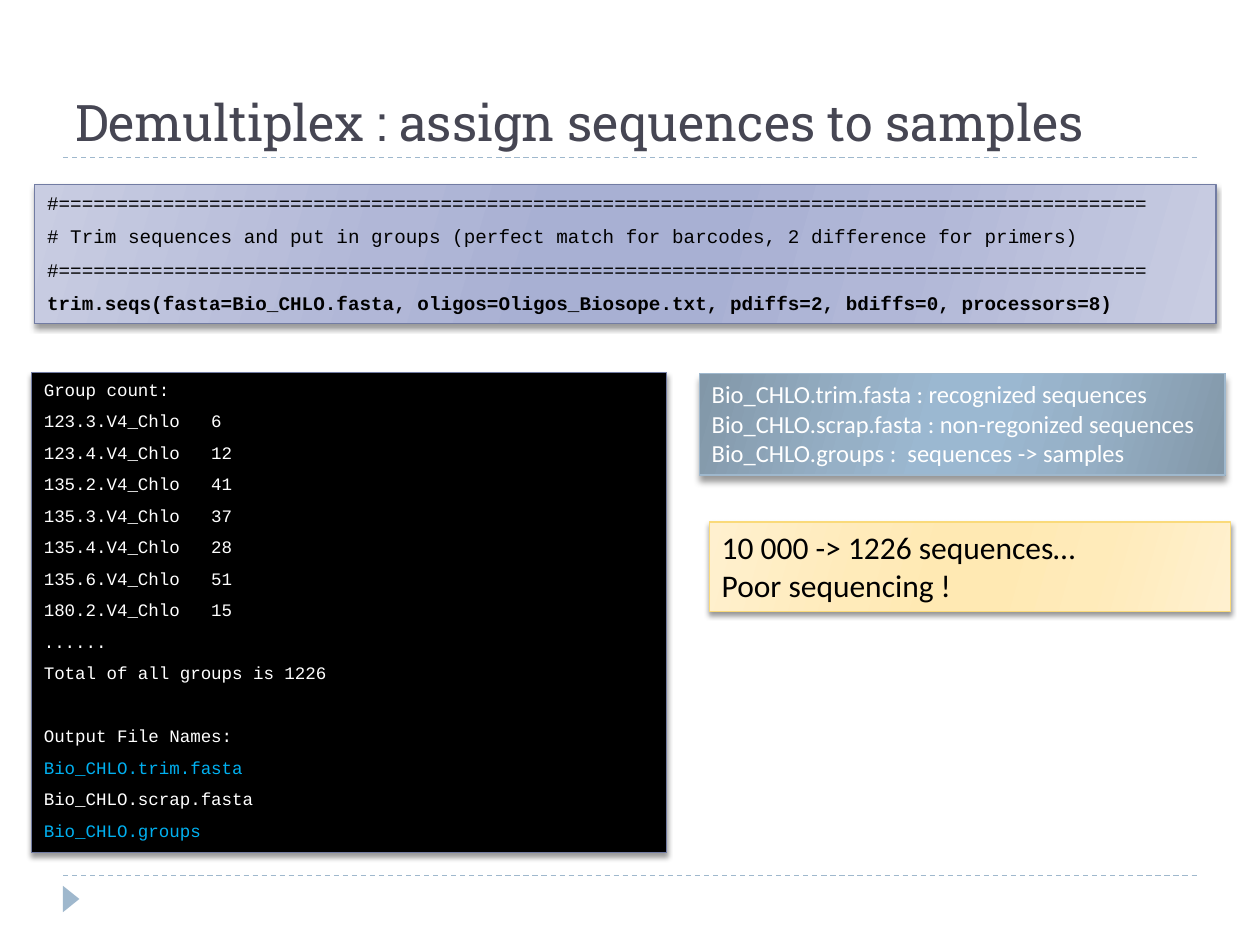
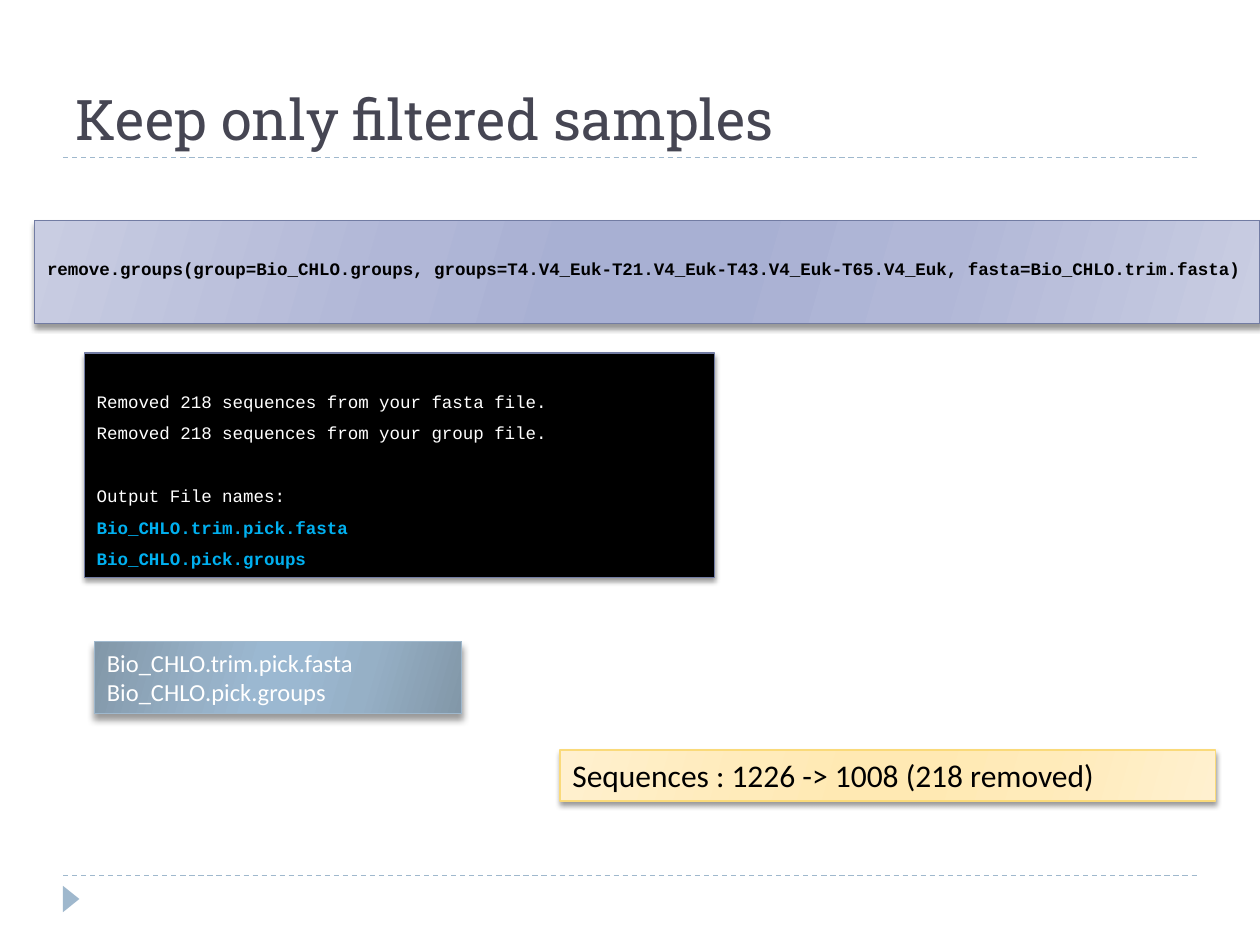
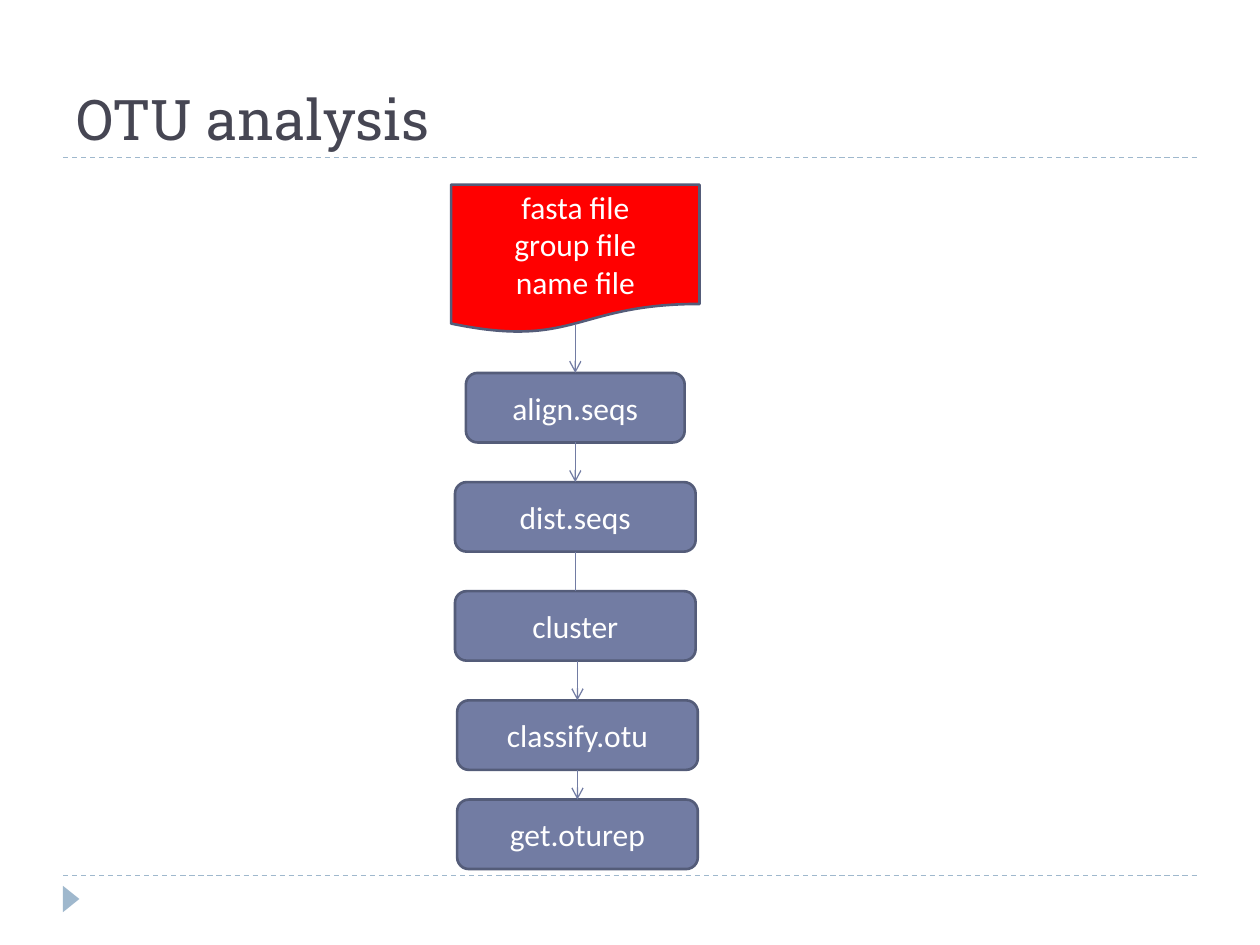
from dataclasses import dataclass

from lxml.etree import SubElement
from pptx import Presentation
from pptx.dml.color import RGBColor
from pptx.enum.dml import MSO_LINE_DASH_STYLE as Dash
from pptx.enum.shapes import MSO_CONNECTOR, MSO_SHAPE as Shape
from pptx.enum.text import MSO_ANCHOR as Anchor, PP_ALIGN as Align
from pptx.oxml.ns import qn
from pptx.util import Pt

WHITE = RGBColor(0xFF, 0xFF, 0xFF)
BLACK = RGBColor(0x00, 0x00, 0x00)
RED = RGBColor(0xFF, 0x00, 0x00)
TITLE_GREY = RGBColor(0x46, 0x46, 0x53)
PALE_BLUE = RGBColor(0x9F, 0xB8, 0xCD)
INDIGO = RGBColor(0x72, 0x7C, 0xA3)
DARK_INDIGO = RGBColor(0x54, 0x5C, 0x79)
YELLOW = RGBColor(0xFA, 0xDA, 0x7A)
CYAN = RGBColor(0x00, 0xB0, 0xF0)
INDIGO_EDGE = RGBColor(0xC9, 0xCD, 0xE2)
INDIGO_INNER = RGBColor(0xB1, 0xB7, 0xD7)
INDIGO_CORE = RGBColor(0xA8, 0xB0, 0xD3)
BLUE_EDGE = RGBColor(0x82, 0x97, 0xA8)
BLUE_INNER = RGBColor(0x96, 0xB0, 0xC6)
BLUE_CORE = RGBColor(0x9B, 0xB8, 0xD1)
YELLOW_EDGE = RGBColor(0xFF, 0xF0, 0xCF)
YELLOW_INNER = RGBColor(0xFF, 0xEB, 0xBA)
YELLOW_CORE = RGBColor(0xFF, 0xE9, 0xB3)

MONO = "Courier New"
SANS = "Calibri"
SERIF = "Roboto Slab"
INSET = 3.6
CODE_GAP = 6
RULE = "#" + "=" * 94


@dataclass
class Look:
    fills: tuple
    outline: RGBColor
    color: RGBColor
    font: str
    size: float
    blur: float = 3
    distance: float = 2


COMMAND = Look((INDIGO_EDGE, INDIGO_INNER, INDIGO_CORE), INDIGO, BLACK, MONO, 11)
LONG_COMMAND = Look(COMMAND.fills, INDIGO, BLACK, MONO, 10)
TERMINAL = Look((BLACK,), INDIGO, WHITE, MONO, 10)
FILES = Look((BLUE_EDGE, BLUE_INNER, BLUE_CORE), PALE_BLUE, WHITE, SANS, 14, 4, 3.4)
REMARK = Look((YELLOW_EDGE, YELLOW_INNER, YELLOW_CORE), YELLOW, BLACK, SANS, 18)


class Deck:
    """Holds the shared style and the slide being built."""

    def __init__(self):
        self.presentation = Presentation()
        self.presentation.slide_width = Pt(720)
        self.presentation.slide_height = Pt(540)
        self.slide = None

    def new_slide(self, title, size=32, left=36):
        layout = self.presentation.slide_layouts[6]
        self.slide = self.presentation.slides.add_slide(layout)
        for y in (500.4, 90):
            self.line(36, y, 684, y, PALE_BLUE).line.dash_style = Dash.DASH
        marker = self.shape(Shape.ISOSCELES_TRIANGLE, 33.1, 509, 15.1, 9.4, PALE_BLUE)
        marker.rotation = 90
        text_box = self.slide.shapes.add_textbox(Pt(left), Pt(12), Pt(648), Pt(78))
        text_box.text_frame.word_wrap = True
        text_box.text_frame.vertical_anchor = Anchor.BOTTOM
        self.run(text_box.text_frame.paragraphs[0], title, SERIF, size, TITLE_GREY)

    def run(self, paragraph, text, font, size, color, bold=False):
        run = paragraph.add_run()
        run.text = text
        run.font.name = font
        run.font.size = Pt(size)
        run.font.color.rgb = color
        run.font.bold = bold

    def line(self, x1, y1, x2, y2, color):
        connector = self.slide.shapes.add_connector(
            MSO_CONNECTOR.STRAIGHT, Pt(x1), Pt(y1), Pt(x2), Pt(y2))
        connector.line.color.rgb = color
        connector.line.width = Pt(0.75)
        SubElement(connector._element.spPr, qn("a:effectLst"))
        return connector

    def arrow(self, x, y1, y2, start=None, end=None, head=True):
        connector = self.line(x, y1, x, y2, INDIGO)
        if start:
            connector.begin_connect(start, 2)
        if end:
            connector.end_connect(end, 0)
        if head:
            outline = connector._element.spPr.find(qn("a:ln"))
            SubElement(outline, qn("a:tailEnd"), type="arrow")

    def shape(self, kind, left, top, width, height, fill, outline=None, weight=0.75):
        shape = self.slide.shapes.add_shape(kind, Pt(left), Pt(top), Pt(width), Pt(height))
        shape.shadow.inherit = False
        shape.fill.solid()
        shape.fill.fore_color.rgb = fill
        if outline is None:
            shape.line.fill.background()
        else:
            shape.line.color.rgb = outline
            shape.line.width = Pt(weight)
        return shape

    def gradient(self, shape, edge, inner, core):
        shape.fill.gradient()
        shape.fill.gradient_angle = 344
        stops = shape._element.spPr.find(qn("a:gradFill")).find(qn("a:gsLst"))
        for stop in list(stops):
            stops.remove(stop)
        positions = (0, 30, 45, 55, 73, 100)
        for position, color in zip(positions, (edge, inner, core, core, inner, edge)):
            stop = SubElement(stops, qn("a:gs"), pos=str(position * 1000))
            SubElement(stop, qn("a:srgbClr"), val=str(color))

    def cast_shadow(self, shape, blur, distance):
        effects = shape._element.spPr.find(qn("a:effectLst"))
        shadow = SubElement(effects, qn("a:outerShdw"), blurRad=str(Pt(blur)),
                            dist=str(Pt(distance)), dir="5400000", rotWithShape="0")
        color = SubElement(shadow, qn("a:srgbClr"), val=str(BLACK))
        SubElement(color, qn("a:alpha"), val="40000")

    def panel(self, look, left, top, width, height, lines, marked=(), bold=()):
        shape = self.shape(Shape.RECTANGLE, left, top, width, height,
                           look.fills[0], look.outline)
        if len(look.fills) > 1:
            self.gradient(shape, *look.fills)
        self.cast_shadow(shape, look.blur, look.distance)
        frame = shape.text_frame
        frame.word_wrap = True
        frame.vertical_anchor = Anchor.TOP
        is_code = look.font == MONO
        line_height = look.size * 1.2
        paragraph, skipped = None, 0
        for text in lines:
            if not text:
                skipped += line_height + CODE_GAP
                continue
            if paragraph is None:
                paragraph = frame.paragraphs[0]
                frame.margin_top = Pt(INSET + skipped)
            else:
                paragraph = frame.add_paragraph()
                paragraph.space_before = Pt(skipped + CODE_GAP * is_code)
            skipped = 0
            paragraph.alignment = Align.LEFT
            if is_code:
                paragraph.line_spacing = Pt(line_height)
            color = CYAN if text in marked else look.color
            self.run(paragraph, text, look.font, look.size, color, text in bold)

    def step(self, kind, centre, top, width, height, lines, fill=INDIGO):
        shape = self.shape(kind, centre - width / 2, top, width, height,
                           fill, DARK_INDIGO, 1.5)
        frame = shape.text_frame
        frame.word_wrap = True
        frame.vertical_anchor = Anchor.MIDDLE
        for index, text in enumerate(lines):
            paragraph = frame.add_paragraph() if index else frame.paragraphs[0]
            paragraph.alignment = Align.CENTER
            self.run(paragraph, text, SANS, 18, WHITE)
        return shape


def demultiplex(deck):
    deck.new_slide("Demultiplex : assign sequences to samples", 28.8)
    trim = ("trim.seqs(fasta=Bio_CHLO.fasta, oligos=Oligos_Biosope.txt, "
            "pdiffs=2, bdiffs=0, processors=8)")
    purpose = ("# Trim sequences and put in groups "
               "(perfect match for barcodes, 2 difference for primers)")
    deck.panel(COMMAND, 19.8, 105.5, 675, 79.5, [RULE, purpose, RULE, trim], bold=[trim])
    deck.panel(REMARK, 405.3, 298.3, 298, 51,
               ["10 000 -> 1226 sequences…", "Poor sequencing !"])
    deck.panel(FILES, 399.6, 213.3, 300.5, 58.2, [
        "Bio_CHLO.trim.fasta : recognized sequences",
        "Bio_CHLO.scrap.fasta : non-regonized sequences",
        "Bio_CHLO.groups :  sequences -> samples"])
    deck.panel(TERMINAL, 18, 213, 363, 274.3, [
        "Group count:",
        "123.3.V4_Chlo   6",
        "123.4.V4_Chlo   12",
        "135.2.V4_Chlo   41",
        "135.3.V4_Chlo   37",
        "135.4.V4_Chlo   28",
        "135.6.V4_Chlo   51",
        "180.2.V4_Chlo   15",
        "......",
        "Total of all groups is 1226",
        "",
        "Output File Names:",
        "Bio_CHLO.trim.fasta",
        "Bio_CHLO.scrap.fasta",
        "Bio_CHLO.groups"], marked=["Bio_CHLO.trim.fasta", "Bio_CHLO.groups"])


def keep_filtered(deck):
    deck.new_slide("Keep only filtered samples")
    remove = ("remove.groups(group=Bio_CHLO.groups, "
              "groups=T4.V4_Euk-T21.V4_Euk-T43.V4_Euk-T65.V4_Euk, "
              "fasta=Bio_CHLO.trim.fasta)")
    picked = ["Bio_CHLO.trim.pick.fasta", "Bio_CHLO.pick.groups"]
    deck.panel(LONG_COMMAND, 19.8, 126, 700.2, 59, ["", remove], bold=[remove])
    deck.panel(FILES, 54, 366.5, 209.8, 41.2, picked)
    deck.panel(REMARK, 320, 428.6, 374.8, 29.1, ["Sequences : 1226 -> 1008 (218 removed)"])
    deck.panel(TERMINAL, 48.2, 201.7, 360, 128.4, [
        "",
        "Removed 218 sequences from your fasta file.",
        "Removed 218 sequences from your group file.",
        "",
        "Output File names:",
        *picked], marked=picked, bold=picked)


def otu_analysis(deck):
    deck.new_slide("OTU analysis", left=36.5)
    axis, low_axis, height = 328.75, 330, 39.7
    deck.step(Shape.FLOWCHART_DOCUMENT, axis, 105.5, 142, 85,
              ["fasta file", "group file", "name file"], RED)
    align, dist, cluster, classify, representative = [
        deck.step(Shape.FLOWCHART_ALTERNATE_PROCESS, centre, top, width, height, [name])
        for name, centre, top, width in (
            ("align.seqs", axis, 213.1, 125),
            ("dist.seqs", axis, 275.5, 137.5),
            ("cluster", axis, 337.8, 137.5),
            ("classify.otu", low_axis, 400.2, 137.5),
            ("get.oturep", low_axis, 456.9, 137.5))]
    deck.arrow(axis, 185, 213.1, end=align)
    deck.arrow(axis, 252.8, 275.5, align, dist)
    deck.arrow(axis, 315.2, 337.8, dist, cluster, head=False)
    deck.arrow(low_axis, 377.5, 400.2, end=classify)
    deck.arrow(low_axis, 439.9, 456.9, classify, representative)


def main():
    deck = Deck()
    demultiplex(deck)
    keep_filtered(deck)
    otu_analysis(deck)
    deck.presentation.save("out.pptx")


if __name__ == "__main__":
    main()
